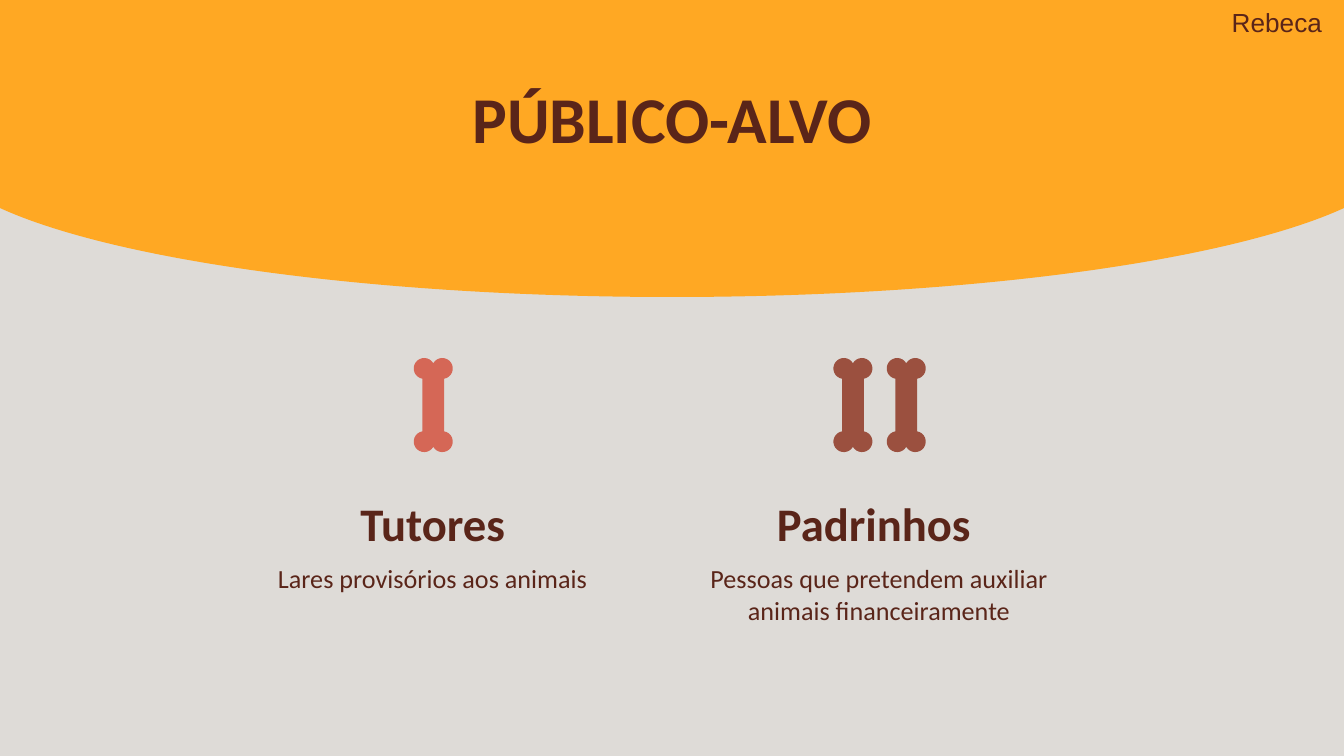
from dataclasses import dataclass
from math import cos, radians, sin, tan

from lxml.etree import SubElement
from pptx import Presentation
from pptx.dml.color import RGBColor
from pptx.enum.shapes import MSO_SHAPE
from pptx.enum.text import MSO_ANCHOR, PP_ALIGN
from pptx.oxml.ns import qn
from pptx.shapes.autoshape import Shape
from pptx.shapes.shapetree import GroupShapes, SlideShapes
from pptx.slide import Slide
from pptx.util import Pt

BROWN = "5A2519"
ORANGE = "FFA823"
GREY = "DEDBD7"
BONE_Y = 217
BONE_ROTATION = 111.7

Point = tuple[float, float]


@dataclass
class TextStyle:
    size: float
    font: str = "Calibri"
    bold: bool = False
    align: PP_ALIGN = PP_ALIGN.CENTER
    anchor: MSO_ANCHOR = MSO_ANCHOR.TOP
    vertical_inset: float = 7.2


@dataclass
class Audience:
    center: float
    name: str
    description: str
    bone_color: str
    bone_centers: tuple[float, ...]


TITLE = TextStyle(35, bold=True)
HEADING = TextStyle(25, bold=True, anchor=MSO_ANCHOR.MIDDLE)
BODY = TextStyle(14)
PRESENTER = TextStyle(14, font="Arial", align=PP_ALIGN.LEFT, vertical_inset=3.6)

AUDIENCES = [
    Audience(470.9, "Padrinhos ",
             "Pessoas que pretendem auxiliar animais financeiramente",
             "9B503F", (456.9, 485.5)),
    Audience(231.8, "Tutores", "Lares provisórios aos animais",
             "D56756", (232.1,)),
]


def color(value: str) -> RGBColor:
    return RGBColor.from_string(value)


def paint(shape: Shape, fill: str) -> None:
    shape.fill.solid()
    shape.fill.fore_color.rgb = color(fill)
    shape.line.fill.background()
    shape.shadow.inherit = False


def add_text(slide: Slide, text: str, left: float, top: float,
             width: float, height: float, style: TextStyle) -> None:
    box = slide.shapes.add_textbox(Pt(left), Pt(top), Pt(width), Pt(height))
    frame = box.text_frame
    frame.word_wrap = True
    frame.vertical_anchor = style.anchor
    frame.margin_left = frame.margin_right = Pt(7.2)
    frame.margin_top = frame.margin_bottom = Pt(style.vertical_inset)
    frame.text = text
    paragraph = frame.paragraphs[0]
    paragraph.alignment = style.align
    font = paragraph.runs[0].font
    font.name, font.size, font.bold = style.font, Pt(style.size), style.bold
    font.color.rgb = color(BROWN)


def knob_curve() -> list[Point]:
    """Bezier points of one round knob, from the shaft to the end notch."""
    radius, knob_x, knob_y = 5.6, 4.85, 19.6
    start, step, arcs = -80, 57.5, 4
    handle = 4 / 3 * tan(radians(step / 4))

    def place(angle: float, along: float) -> Point:
        c, s = cos(radians(angle)), sin(radians(angle))
        return (knob_x + radius * (c - along * s),
                knob_y + radius * (s + along * c))

    points = [place(start, 0)]
    for index in range(arcs):
        angle = start + index * step
        points += [place(angle, handle), place(angle + step, -handle),
                   place(angle + step, 0)]
    return points


def bone_halves() -> list[list[Point]]:
    """Mirror the knob into the lower and the upper end of the bone."""
    knob = knob_curve()
    lower = knob + [(-x, y) for x, y in reversed(knob[:-1])]
    return [lower, [(-x, -y) for x, y in lower]]


def add_bone(shapes: SlideShapes | GroupShapes, center_x: float, fill: str) -> None:
    turn = radians(-BONE_ROTATION)
    halves = bone_halves()
    points = [(Pt(center_x + x * cos(turn) - y * sin(turn)),
               Pt(BONE_Y + x * sin(turn) + y * cos(turn)))
              for half in halves for x, y in half]
    builder = shapes.build_freeform(*points[0])
    builder.add_line_segments(points[1:], close=True)
    bone = builder.convert_to_shape()
    bone.rotation = BONE_ROTATION
    paint(bone, fill)
    curve_path(bone, len(halves[0]))


def curve_path(shape: Shape, half_length: int) -> None:
    """Join line points into cubic curves, keeping the straight shaft edges."""
    path = next(shape.element.iter(qn("a:path")))
    lines = path.findall(qn("a:lnTo"))
    for half in (lines[:half_length - 1], lines[half_length:]):
        for index in range(0, len(half), 3):
            curve = SubElement(path, qn("a:cubicBezTo"))
            half[index].addprevious(curve)
            for line in half[index:index + 3]:
                curve.append(line[0])
                path.remove(line)


def add_bones(slide: Slide, audience: Audience) -> None:
    shapes = slide.shapes
    if len(audience.bone_centers) > 1:
        shapes = shapes.add_group_shape().shapes
    for center in audience.bone_centers:
        add_bone(shapes, center, audience.bone_color)


def main() -> None:
    presentation = Presentation()
    presentation.slide_width, presentation.slide_height = Pt(720), Pt(405)
    slide = presentation.slides.add_slide(presentation.slide_layouts[6])
    slide.background.fill.solid()
    slide.background.fill.fore_color.rgb = color(GREY)

    header = slide.shapes.add_shape(MSO_SHAPE.FLOWCHART_DELAY,
                                    Pt(279.4), Pt(-316), Pt(161.2), Pt(789))
    header.rotation = 90
    paint(header, ORANGE)

    add_text(slide, "PÚBLICO-ALVO", 48.5, 34.6, 623, 45.4, TITLE)
    for audience in AUDIENCES:
        center = audience.center
        add_text(slide, audience.name, center - 69.5, 266, 139, 28, HEADING)
        add_text(slide, audience.description, center - 106, 294.2, 212, 50.4, BODY)
    for audience in AUDIENCES:
        add_bones(slide, audience)
    add_text(slide, "Rebeca", 652.8, 0, 67, 24.5, PRESENTER)
    presentation.save("out.pptx")


if __name__ == "__main__":
    main()
